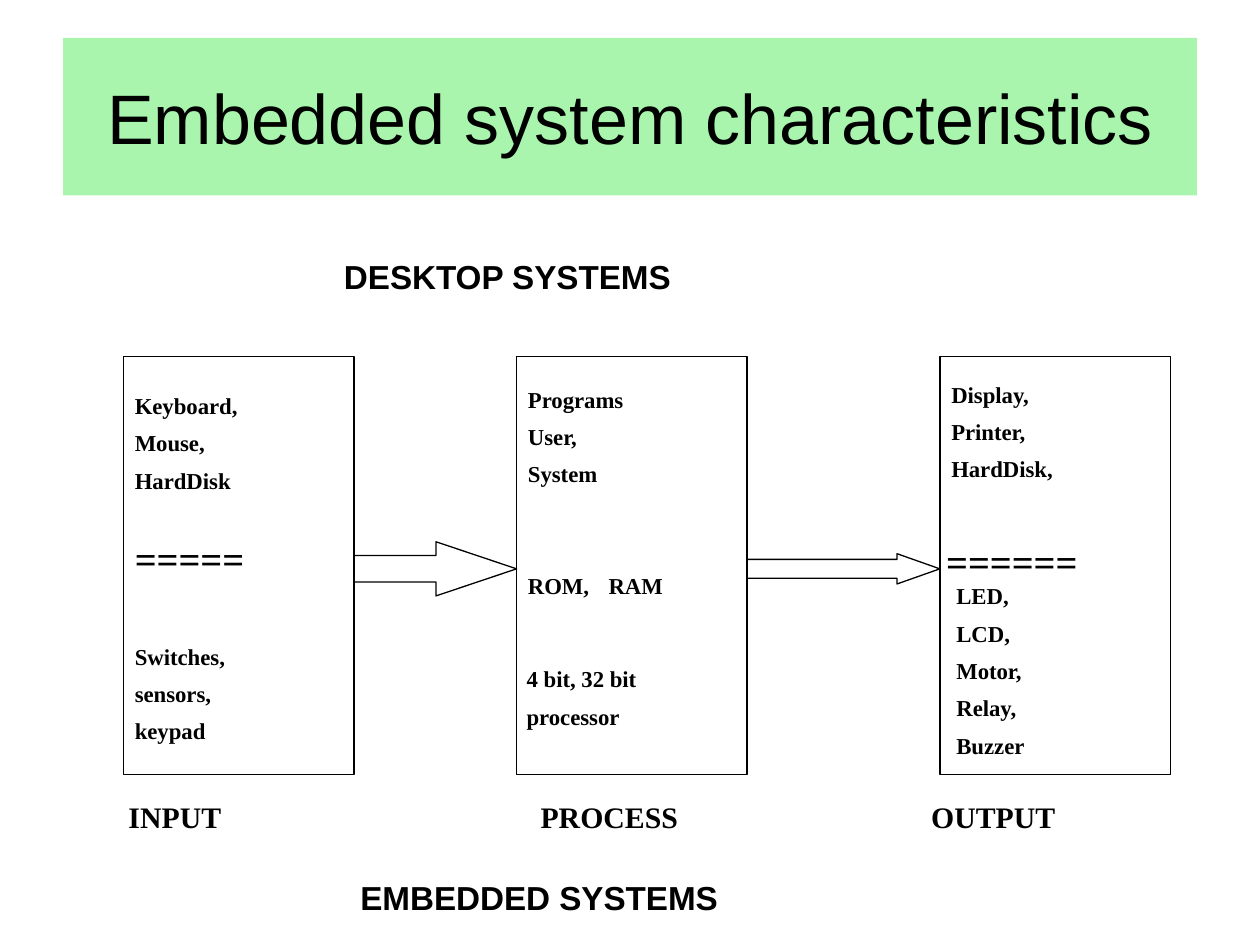
from pptx import Presentation
from pptx.dml.color import RGBColor
from pptx.enum.shapes import MSO_SHAPE
from pptx.enum.text import MSO_ANCHOR, MSO_AUTO_SIZE, PP_ALIGN
from pptx.util import Inches, Pt

COLORS = {"ink": "000000", "banner": "A9F5AD"}
SANS, SERIF = "Arial", "Times New Roman"
COLUMNS, ROWS = 100, 75  # grid laid over the slide


class Diagram:
    """Holds the style and the current slide; positions are grid columns and rows."""

    def __init__(self, deck):
        self.column = deck.slide_width / COLUMNS
        self.row = deck.slide_height / ROWS
        self.slide = deck.slides.add_slide(deck.slide_layouts[5])

    def frame(self, left, top, width, height):
        return (round(left * self.column), round(top * self.row),
                round(width * self.column), round(height * self.row))

    def color(self, name):
        return RGBColor.from_string(COLORS[name])

    def style(self, paragraph, size, face, bold=True):
        font = paragraph.font
        font.size, font.name, font.bold = Pt(size), face, bold
        font.color.rgb = self.color("ink")

    def outline(self, shape):
        shape.shadow.inherit = False
        shape.fill.background()
        shape.line.color.rgb = self.color("ink")
        shape.line.width = Pt(0)

    def title(self, wording, left, top, width, height):
        banner = self.slide.shapes.title
        banner.left, banner.top, banner.width, banner.height = self.frame(
            left, top, width, height)
        banner.fill.solid()
        banner.fill.fore_color.rgb = self.color("banner")
        text = banner.text_frame
        text.text = wording
        text.vertical_anchor = MSO_ANCHOR.MIDDLE
        text.paragraphs[0].alignment = PP_ALIGN.CENTER
        self.style(text.paragraphs[0], 40, SANS, bold=False)

    def box(self, left, top, width, height):
        stage = self.slide.shapes.add_shape(
            MSO_SHAPE.RECTANGLE, *self.frame(left, top, width, height))
        self.outline(stage)

    def arrow(self, start, end, middle, head, shaft_half, head_half):
        neck = end - head
        upper = [(start, -shaft_half), (neck, -shaft_half), (neck, -head_half)]
        lower = [(x, -y) for x, y in reversed(upper)]
        points = [(round(x * self.column), round((middle + y) * self.row))
                  for x, y in upper + [(end, 0)] + lower]
        builder = self.slide.shapes.build_freeform(*points[0])
        builder.add_line_segments(points[1:], close=True)
        self.outline(builder.convert_to_shape())

    def text(self, lines, left, top, width, size=13, face=SERIF, gap=5.7):
        height = len(lines) * (size * 1.15 + gap) - gap
        label = self.slide.shapes.add_textbox(
            *self.frame(left, top, width, Pt(height) / self.row))
        text = label.text_frame
        text.margin_left = text.margin_right = 0
        text.margin_top = text.margin_bottom = 0
        text.word_wrap = False
        text.auto_size = MSO_AUTO_SIZE.SHAPE_TO_FIT_TEXT
        text.text = "\n".join(lines)
        for paragraph in text.paragraphs:
            self.style(paragraph, size, face)
            paragraph.space_after = Pt(gap)
        text.paragraphs[-1].space_after = Pt(0)


def main():
    deck = Presentation()
    deck.slide_width, deck.slide_height = Inches(10), Inches(7.5)
    diagram = Diagram(deck)
    diagram.title("Embedded system characteristics", 5, 3, 90, 12.5)

    # Stages and the arrows between them
    input_left, process_left, output_left = 9.8, 41, 74.6
    stage_top, stage_width, stage_height = 28.3, 18.3, 33.2
    for left in (input_left, process_left, output_left):
        diagram.box(left, stage_top, stage_width, stage_height)
    diagram.arrow(input_left + stage_width, process_left, 45.15, 6.4, 1.05, 2.15)
    diagram.arrow(process_left + stage_width, output_left, 45.15, 3.4, 0.75, 1.2)

    # Stage contents: lines, left, top, width
    contents = [
        (["Keyboard,", "Mouse,", "HardDisk"], 10.7, 31.1, 8.4),
        (["Switches,", "sensors,", "keypad"], 10.7, 51, 7.4),
        (["Programs", "User,", "System"], 41.9, 30.6, 7.8),
        (["ROM,"], 41.9, 45.4, 5.3),
        (["RAM"], 48.3, 45.4, 4.5),
        (["4 bit, 32 bit", "processor"], 41.8, 52.8, 9.4),
        (["Display,", "Printer,", "HardDisk,"], 75.5, 30.2, 8.4),
        (["LED,", "LCD,", "Motor,", "Relay,", "Buzzer"], 75.9, 46.2, 5.8),
    ]
    for lines, left, top, width in contents:
        diagram.text(lines, left, top, width)

    # Dividers between desktop and embedded items
    diagram.text(["====="], 10.7, 42.5, 17.2, size=22)
    diagram.text(["======"], 75.1, 42.7, 17.2, size=22)

    # Stage names
    for name, left, width in (("INPUT", 10.2, 7.6), ("PROCESS", 42.9, 11.2),
                              ("OUTPUT", 73.9, 10.2)):
        diagram.text([name], left, 63.4, width, size=17)

    # System headings
    diagram.text(["DESKTOP SYSTEMS"], 27.3, 20.3, 26.2, size=19, face=SANS)
    diagram.text(["EMBEDDED SYSTEMS"], 28.6, 69.6, 28.5, size=19, face=SANS)

    deck.save("out.pptx")


if __name__ == "__main__":
    main()
